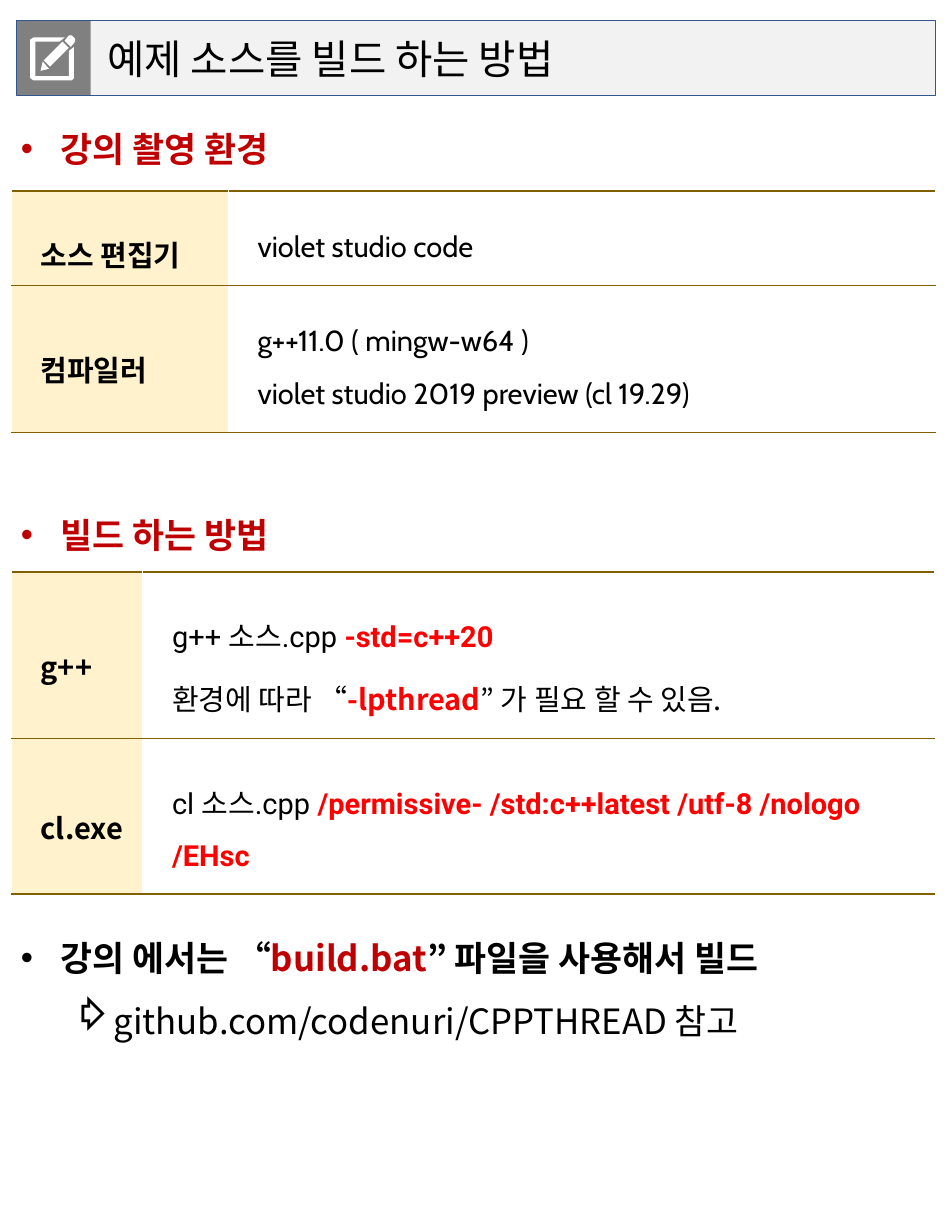
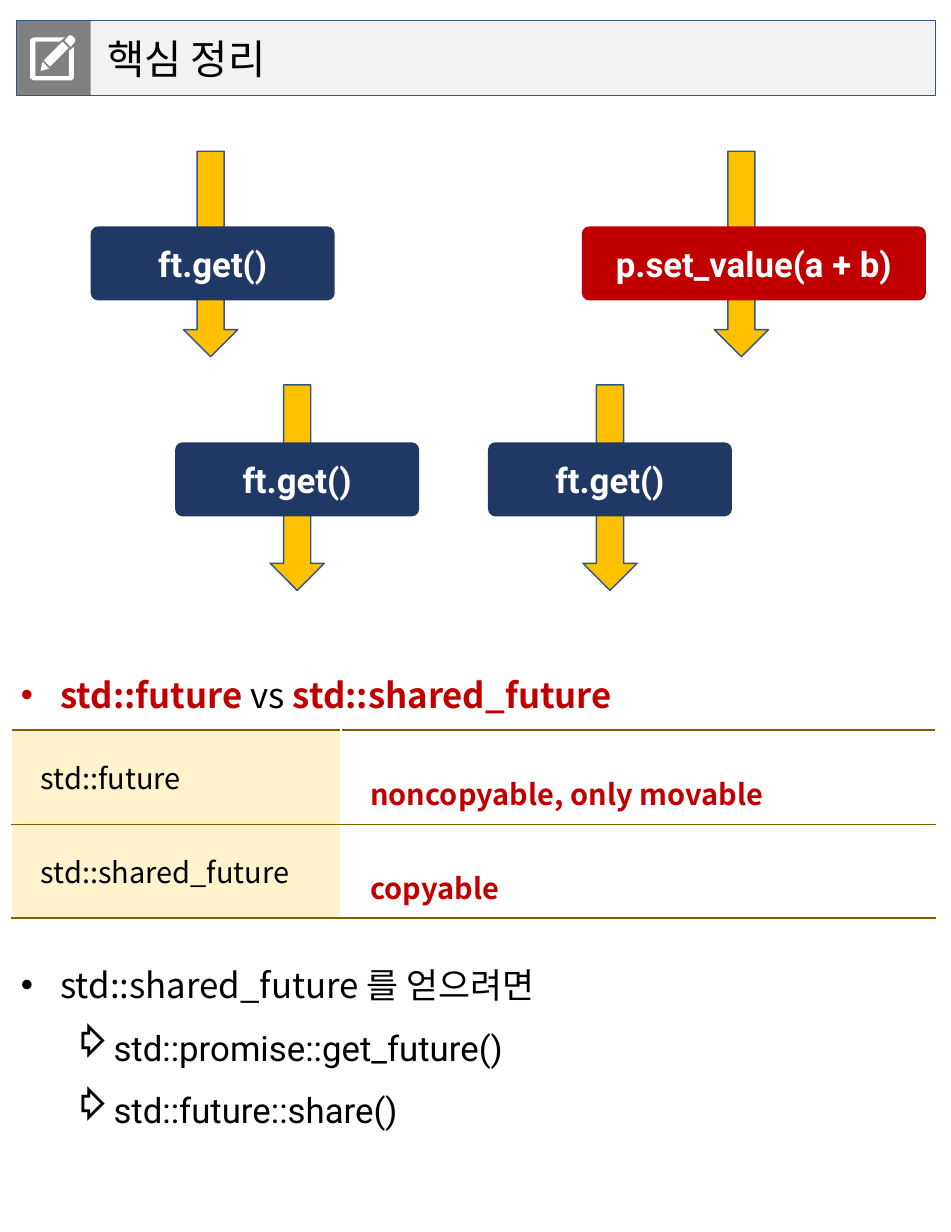
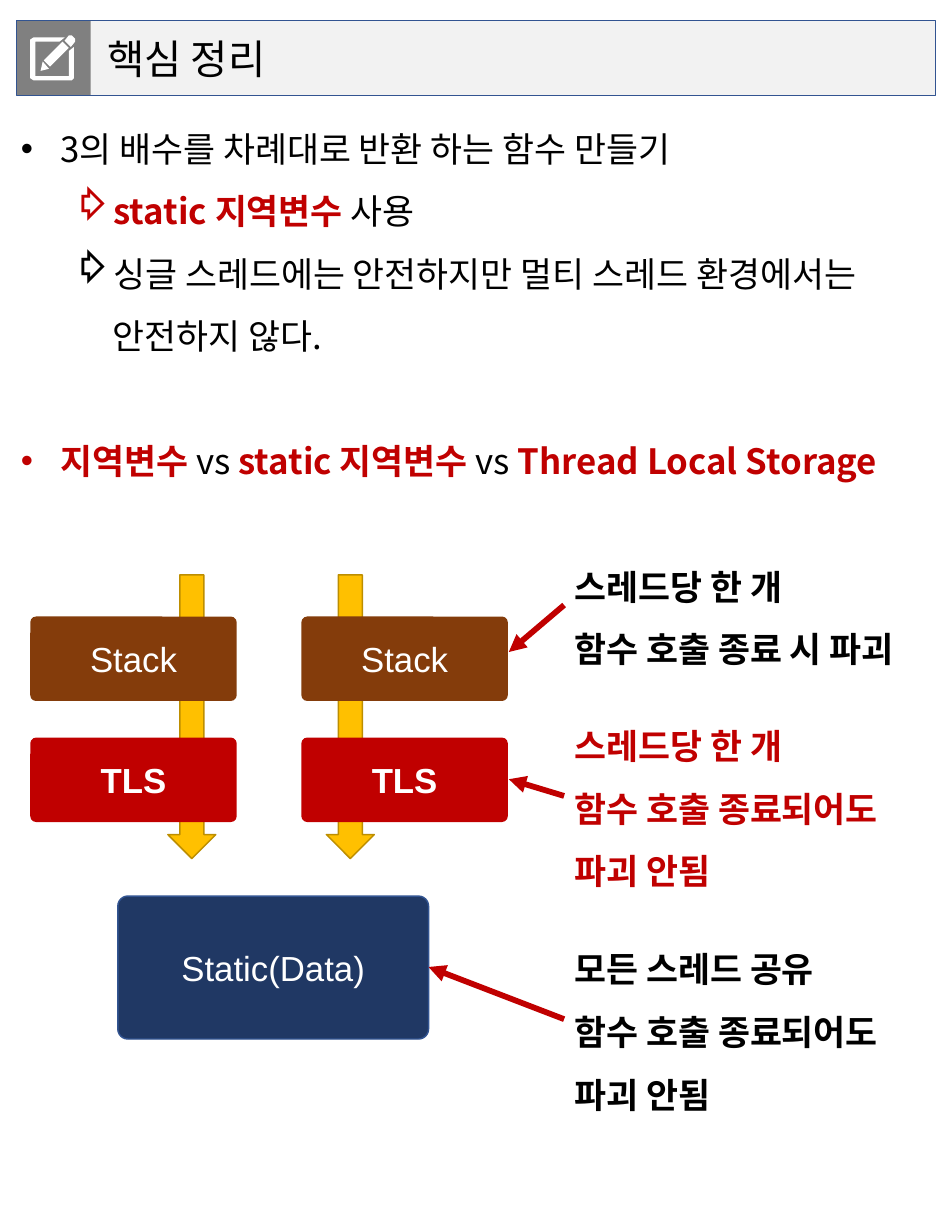
from lxml.etree import SubElement
from pptx import Presentation
from pptx.dml.color import RGBColor as Rgb
from pptx.enum.shapes import MSO_CONNECTOR as Conn, MSO_SHAPE as Kind
from pptx.enum.text import MSO_ANCHOR as Anchor, PP_ALIGN as Align
from pptx.oxml.ns import qn
from pptx.util import Inches, Pt

INK = {
    "black": "000000", "white": "FFFFFF", "band": "F2F2F2", "tile": "808080",
    "blue": "325491", "navy": "203864", "red": "C00000", "hot": "FF0000",
    "gold": "FFC000", "amber": "BD8E00", "brown": "843C0B", "cream": "FFF2CC",
    "rule": "806000",
}
NOTO, ROBO, CABIN, ARIAL = "Noto Sans CJK KR", "Roboto", "Cabin", "Arial"
PEN = [
    [(43, 7), (39, 12), (33, 6), (37, 1), (40, 1), (43, 4)],
    [(12, 26), (18, 33), (10, 35)],
    [(37, 13), (19, 31), (13, 25), (31, 7)],
    [(5, 7), (5, 40), (37, 40), (37, 16), (42, 12), (42, 42), (40, 44),
     (3, 44), (0, 42), (0, 5), (3, 3), (33, 3), (28, 7)],
]


def rgb(name):
    return Rgb.from_string(INK[name])


def box(*sides):
    return [Inches(side) for side in sides]


def style(run, size, face, color, bold):
    font = run.font
    font.size, font.bold, font.name = Pt(size), bold, face
    font.color.rgb = rgb(color)
    SubElement(run.font._element, qn("a:ea"), typeface=NOTO)


def write(par, text, size=24, face=NOTO, color="black", bold=False,
          accent="red", gap=1.5):
    par.line_spacing = gap
    for spot, part in enumerate(text.split("|")):
        if part:
            run = par.add_run()
            run.text = part
            hit = spot % 2 == 1
            style(run, size, face, accent if hit else color, bold or hit)


def lines(frame, rows, **look):
    for spot, (text, face) in enumerate(rows):
        par = frame.add_paragraph() if spot else frame.paragraphs[0]
        write(par, text, face=face, **look)


def bullet(par, level):
    props = par._p.get_or_add_pPr()
    par.level = level
    props.set("marL", str(Inches(0.38 + 0.5 * level)))
    props.set("indent", str(-Inches(0.38)))
    if level == 0:
        SubElement(props, qn("a:buFont"), typeface=ARIAL)
    SubElement(props, qn("a:buChar"), char="•⇨"[level])


def inset(part, left, top, right, low):
    part.margin_left, part.margin_top = Inches(left), Inches(top)
    part.margin_right, part.margin_bottom = Inches(right), Inches(low)


def points(slide, top, high, items, bold=False):
    frame = slide.shapes.add_textbox(*box(0, top, 9.11, high)).text_frame
    frame.word_wrap = True
    inset(frame, 0.2, 0.12, 0.1, 0.2)
    for spot, (level, text, face) in enumerate(items):
        par = frame.add_paragraph() if spot else frame.paragraphs[0]
        bullet(par, level)
        write(par, text, face=face, bold=bold and level == 0)
        if spot and level == 0:
            par.space_before = Pt(43)


def shape(slide, kind, at, fill=None, line=None, width=1.0, round=None):
    item = slide.shapes.add_shape(kind, *box(*at))
    item.shadow.inherit = False
    if fill:
        item.fill.solid()
        item.fill.fore_color.rgb = rgb(fill)
    else:
        item.fill.background()
    if line:
        item.line.color.rgb = rgb(line)
        item.line.width = Pt(width)
    else:
        item.line.fill.background()
    if round is not None:
        item.adjustments[0] = round
    return item


def block(slide, at, text, fill, face, bold, round=0.07, line=None):
    item = shape(slide, Kind.ROUNDED_RECTANGLE, at, fill, line, round=round)
    frame = item.text_frame
    frame.vertical_anchor = Anchor.MIDDLE
    frame.paragraphs[0].alignment = Align.CENTER
    write(frame.paragraphs[0], text, face=face, color="white", bold=bold, gap=1)


def pen(slide, left, top):
    build = slide.shapes.build_freeform(*PEN[0][0], scale=Inches(0.01))
    for spot, path in enumerate(PEN):
        if spot:
            build.move_to(*path[0])
        build.add_line_segments(path[1:], close=True)
    icon = build.convert_to_shape(*box(left, top))
    icon.shadow.inherit = False
    icon.fill.solid()
    icon.fill.fore_color.rgb = rgb("white")
    icon.line.fill.background()


def header(slide, text, left=0.16, top=0.2, wide=8.81, high=0.71):
    at = left, top, wide, high
    band = shape(slide, Kind.RECTANGLE, at, "band")
    frame = band.text_frame
    inset(frame, 0.87, 0.05, 0.1, 0.05)
    frame.vertical_anchor = Anchor.MIDDLE
    frame.paragraphs[0].alignment = Align.LEFT
    write(frame.paragraphs[0], text, size=28, gap=1)
    shape(slide, Kind.RECTANGLE, (left, top, high, high), "tile")
    shape(slide, Kind.RECTANGLE, at, line="blue", width=0.5)
    pen(slide, left + 0.13, top + 0.13)


def edge(cell, side, color, width):
    props = cell._tc.get_or_add_tcPr()
    line = SubElement(props, qn("a:ln" + side), w=str(Pt(width)))
    fill = SubElement(line, qn("a:solidFill"))
    SubElement(fill, qn("a:srgbClr"), val=INK[color])


def grid(slide, top, cols, highs, rows, accent="red", bold=True, last=1.5):
    at = box(0.11, top, sum(cols), sum(highs))
    table = slide.shapes.add_table(len(rows), len(cols), *at).table
    table.first_row = table.horz_banding = False
    for col, wide in zip(table.columns, cols):
        col.width = Inches(wide)
    rules = [1.5] + [0.5] * (len(rows) - 1) + [last]
    for r, (label, body) in enumerate(rows):
        table.rows[r].height = Inches(highs[r])
        for c in range(2):
            cell = table.cell(r, c)
            inset(cell, 0.28, 0.2, 0.1, 0.2)
            edge(cell, "L", "white", 1)
            edge(cell, "R", "white", 1)
            edge(cell, "T", "rule", rules[r])
            edge(cell, "B", "rule", rules[r + 1])
            if c:
                cell.fill.background()
                lines(cell.text_frame, body, size=20, accent=accent)
            else:
                cell.fill.solid()
                cell.fill.fore_color.rgb = rgb("cream")
                cell.vertical_anchor = Anchor.MIDDLE
                lines(cell.text_frame, [(label, NOTO)], size=20, bold=bold,
                      gap=1.5 if bold else 1)


def flow(slide, left, top, wide, arrow, drop, text, fill):
    mid = left + wide / 2 + arrow
    shape(slide, Kind.DOWN_ARROW, (mid - 0.26, top, 0.52, 1.97), "gold", "blue")
    block(slide, (left, top + drop, wide, 0.71), text, fill, ROBO, True, 0.1)


def note(slide, top, rows, color, start, end):
    at = box(5.41, top, 3.63, 0.6 * len(rows) + 0.06)
    frame = slide.shapes.add_textbox(*at).text_frame
    frame.word_wrap = True
    lines(frame, [(row, NOTO) for row in rows], color=color, bold=True)
    link = slide.shapes.add_connector(Conn.STRAIGHT, *box(5.41, start, *end))
    link.line.color.rgb = rgb("red")
    link.line.width = Pt(4)
    SubElement(link.line._get_or_add_ln(), qn("a:tailEnd"), type="triangle")
    SubElement(link._element.spPr, qn("a:effectLst"))


def memory(slide, left, top):
    for x in (1.32, 2.84):
        at = left + x, top, 0.46, 2.72
        shape(slide, Kind.DOWN_ARROW, at, "gold", "amber")
    for y, text, fill, bold in ((0.4, "Stack", "brown", False),
                                (1.56, "TLS", "red", True)):
        for x in (0, 2.6):
            at = left + x, top + y, 1.98, 0.81
            block(slide, at, text, fill, ARIAL, bold)
    at = left + 0.84, top + 3.08, 2.98, 1.37
    block(slide, at, "Static(Data)", "navy", ARIAL, False, line="blue")


def build(slide):
    header(slide, "예제 소스를 빌드 하는 방법")
    points(slide, 0.9, 0.87, [(0, "|강의 촬영 환경", NOTO)])
    grid(slide, 1.83, (2.08, 6.78), (0.89, 1.41), [
        ("소스 편집기", [("violet studio code", CABIN)]),
        ("컴파일러", [("g++11.0 ( mingw-w64 )", CABIN),
                  ("violet studio 2019 preview (cl 19.29)", CABIN)]),
    ], last=0.5)
    points(slide, 4.6, 0.87, [(0, "|빌드 하는 방법", NOTO)])
    grid(slide, 5.48, (1.26, 7.59), (1.6, 1.49), [
        ("g++", [("g++ 소스.cpp |-std=c++20", ROBO),
                 ("환경에 따라 “|-lpthread|” 가 필요 할 수 있음.", NOTO)]),
        ("cl.exe", [("cl 소스.cpp |/permissive- /std:c++latest /utf-8 "
                     "/nologo /EHsc", ROBO)]),
    ], accent="hot")
    points(slide, 8.66, 1.47, [
        (0, "강의 에서는 “|build.bat|” 파일을 사용해서 빌드", NOTO),
        (1, "github.com/codenuri/CPPTHREAD 참고", NOTO),
    ], bold=True)


def future(slide):
    header(slide, "핵심 정리")
    flow(slide, 0.87, 1.45, 2.34, -0.02, 0.72, "ft.get()", "navy")
    flow(slide, 5.58, 1.45, 3.3, -0.12, 0.72, "p.set_value(a + b)", "red")
    for left in (1.68, 4.68):
        flow(slide, left, 3.69, 2.34, 0, 0.55, "ft.get()", "navy")
    points(slide, 6.14, 0.87,
           [(0, "|std::future |vs |std::shared_future", NOTO)])
    grid(slide, 7, (3.16, 5.7), (0.89, 0.89), [
        ("std::future", [("|noncopyable, only movable", NOTO)]),
        ("std::shared_future", [("|copyable", NOTO)]),
    ], bold=False)
    points(slide, 8.92, 2.08, [
        (0, "std::shared_future 를 얻으려면", NOTO),
        (1, "std::promise::get_future()", ROBO),
        (1, "std::future::share()", ROBO),
    ])


def local(slide):
    header(slide, "핵심 정리")
    points(slide, 0.9, 3.9, [
        (0, "3의 배수를 차례대로 반환 하는 함수 만들기", NOTO),
        (1, "|static 지역변수 |사용", NOTO),
        (1, "싱글 스레드에는 안전하지만 멀티 스레드 환경에서는 안전하지 않다.", NOTO),
        (0, "|지역변수| vs |static 지역변수 |vs |Thread Local Storage", NOTO),
    ])
    memory(slide, 0.29, 5.51)
    keep = ["함수 호출 종료되어도", "파괴 안됨"]
    note(slide, 5.17, ["스레드당 한 개", "함수 호출 종료 시 파괴"], "black",
         5.8, (4.88, 6.25))
    note(slide, 6.7, ["스레드당 한 개"] + keep, "red", 7.63, (4.88, 7.47))
    note(slide, 8.84, ["모든 스레드 공유"] + keep, "black", 9.77, (4.11, 9.27))


def main():
    deck = Presentation()
    deck.slide_width, deck.slide_height = box(9.12, 11.81)
    for draw in (build, future, local):
        draw(deck.slides.add_slide(deck.slide_layouts[6]))
    deck.save("out.pptx")


if __name__ == "__main__":
    main()
